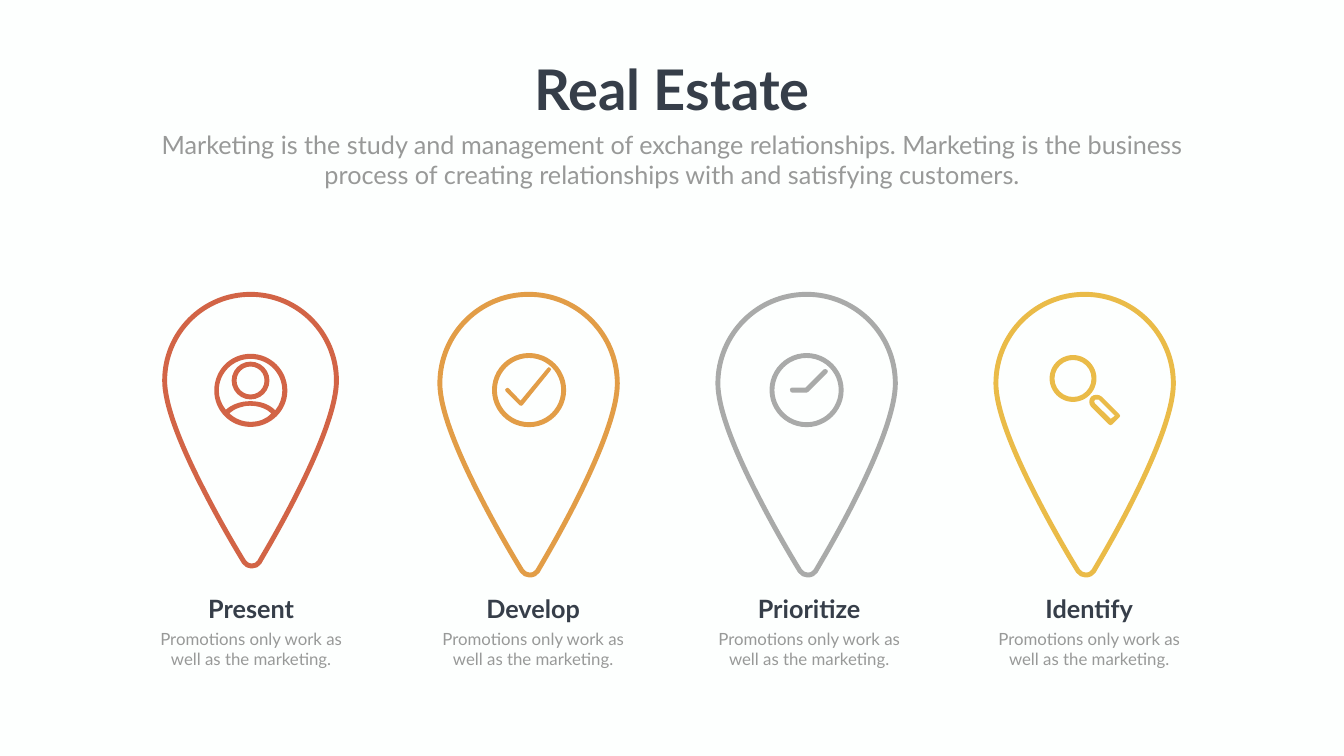
from dataclasses import dataclass

from lxml import etree
from pptx import Presentation
from pptx.dml.color import RGBColor
from pptx.enum.shapes import MSO_SHAPE
from pptx.enum.text import MSO_ANCHOR, PP_ALIGN
from pptx.oxml.ns import qn
from pptx.util import Inches, Pt

CENTER = PP_ALIGN.CENTER
MIDDLE = MSO_ANCHOR.MIDDLE
TOP = MSO_ANCHOR.TOP
DONUT = MSO_SHAPE.DONUT


@dataclass(frozen=True)
class Theme:
    font: str = "Lato"
    background: str = "FDFFFE"
    dark: str = "363E49"
    muted: str = "989998"
    title_size: int = 80
    heading_size: int = 36
    body_size: int = 24
    stroke: int = 7


THEME = Theme()

# Content
TITLE = "Real Estate"
SUBTITLE = ("Marketing is the study and management of exchange relationships. "
            "Marketing is the business process of creating relationships with "
            "and satisfying customers.")
BODY = "Promotions only work as well as the marketing."

# Outlines: a start point, then lines (x, y) or curves (two handles and an end),
# in inches from the pin's centre line and the top of the pins.
PIN = [(0.02, 5.57), (-0.04, 5.57, -0.09, 5.54, -0.13, 5.49),
       (-0.13, 5.49, -0.54, 4.83, -0.94, 4.05),
       (-1.49, 2.99, -1.76, 2.22, -1.76, 1.77),
       (-1.76, 0.79, -0.97, 0, 0, 0),
       (0.97, 0, 1.76, 0.79, 1.76, 1.77),
       (1.76, 2.22, 1.5, 2.99, 0.97, 4.05),
       (0.58, 4.83, 0.18, 5.48, 0.18, 5.49),
       (0.15, 5.54, 0.09, 5.57, 0.02, 5.57)]
PERSON_DISC = [(0, 1.18), (0.4, 1.18, 0.73, 1.5, 0.73, 1.91),
               (0.73, 2.31, 0.4, 2.63, 0, 2.63),
               (-0.4, 2.63, -0.72, 2.31, -0.72, 1.91),
               (-0.72, 1.5, -0.4, 1.18, 0, 1.18)]
PERSON_SHOULDERS = [(-0.42, 2.36), (-0.32, 2.27, -0.16, 2.21, -0.01, 2.21),
                    (0.16, 2.21, 0.32, 2.27, 0.41, 2.36),
                    (0.31, 2.48, 0.16, 2.53, 0, 2.53),
                    (-0.15, 2.53, -0.31, 2.47, -0.42, 2.36)]
PERSON_BACKDROP = [(0.49, 2.3), (0.35, 2.16, 0.17, 2.12, -0.01, 2.12),
                   (-0.19, 2.12, -0.37, 2.18, -0.49, 2.29),
                   (-0.58, 2.18, -0.63, 2.04, -0.63, 1.91),
                   (-0.63, 1.56, -0.35, 1.28, 0, 1.28),
                   (0.35, 1.28, 0.63, 1.56, 0.63, 1.91),
                   (0.63, 2.05, 0.58, 2.19, 0.49, 2.3)]
CHECK = [(0.43, 1.52), (-0.12, 2.2), (-0.13, 2.21, -0.16, 2.22, -0.18, 2.2),
         (-0.45, 1.93), (-0.47, 1.91, -0.47, 1.88, -0.45, 1.87),
         (-0.43, 1.85, -0.41, 1.85, -0.39, 1.87), (-0.16, 2.11), (0.37, 1.47),
         (0.38, 1.44, 0.42, 1.44, 0.43, 1.46), (0.45, 1.47, 0.45, 1.5, 0.43, 1.52)]
CLOCK_HANDS = [(0.41, 1.56), (0.04, 1.93), (0.03, 1.94, 0.01, 1.95, 0, 1.95),
               (-0.29, 1.95), (-0.31, 1.95, -0.33, 1.93, -0.33, 1.89),
               (-0.33, 1.87, -0.31, 1.85, -0.29, 1.85), (-0.02, 1.85), (0.34, 1.49),
               (0.36, 1.48, 0.39, 1.48, 0.41, 1.5), (0.43, 1.51, 0.42, 1.54, 0.41, 1.56)]
HANDLE = [(0.48, 2.58), (0.13, 2.23), (0.08, 2.18, 0.08, 2.08, 0.13, 2.03),
          (0.19, 1.98, 0.28, 1.98, 0.34, 2.03), (0.69, 2.38),
          (0.71, 2.4, 0.71, 2.43, 0.69, 2.44), (0.55, 2.58),
          (0.53, 2.6, 0.5, 2.6, 0.48, 2.58)]
HANDLE_HOLE = [(0.28, 2.09), (0.6, 2.41), (0.52, 2.47), (0.21, 2.17),
               (0.18, 2.14, 0.18, 2.1, 0.21, 2.09), (0.23, 2.08, 0.26, 2.08, 0.28, 2.09)]

# Each ring is (centre x, centre y, diameter)
STEPS = [
    {"name": "Present", "color": "D26446", "scale": 0.968, "text_shift": 0.01,
     "icon": [PERSON_DISC, PERSON_SHOULDERS, PERSON_BACKDROP], "ring": (0, 1.71, 0.75)},
    {"name": "Develop", "color": "E29D47", "scale": 1, "text_shift": 0.09,
     "icon": [CHECK], "ring": (0.01, 1.9, 1.47)},
    {"name": "Prioritize", "color": "A9AAA9", "scale": 1, "text_shift": 0.05,
     "icon": [CLOCK_HANDS], "ring": (0, 1.9, 1.47)},
    {"name": "Identify", "color": "EABB48", "scale": 1, "text_shift": 0.09,
     "icon": [HANDLE, HANDLE_HOLE], "ring": (-0.23, 1.67, 0.93)},
]

# Grid, in inches
WIDTH, HEIGHT = 26.66, 15
FIRST_CENTER, PITCH = 4.97, 5.515
PIN_TOP = 5.84
HEADING_TOP, BODY_TOP = 11.72, 12.43


def color(code):
    return RGBColor.from_string(code)


def add_outlines(page, outlines, center, scale=1):
    """Build one freeform from closed outlines, then bend its curved parts."""
    builder = None
    for outline in outlines:
        points = [(Inches(center + part[i] * scale), Inches(PIN_TOP + part[i + 1] * scale))
                  for part in outline for i in range(0, len(part), 2)]
        if builder is None:
            builder = page.shapes.build_freeform(*points[0])
        else:
            builder.move_to(*points[0])
        builder.add_line_segments(points[1:], close=True)
    shape = builder.convert_to_shape()
    shape.shadow.inherit = False

    segments = iter(list(shape._element.iter(qn("a:lnTo"))))
    for part in (part for outline in outlines for part in outline[1:]):
        first = next(segments)
        if len(part) == 6:
            first.tag = qn("a:cubicBezTo")
            for _ in range(2):
                extra = next(segments)
                first.append(extra[0])
                extra.getparent().remove(extra)
    return shape


def fill_shape(shape, fill_color):
    shape.fill.solid()
    shape.fill.fore_color.rgb = color(fill_color)
    shape.line.fill.background()


def add_pin(page, center, step):
    pin = add_outlines(page, [PIN], center, step["scale"])
    pin.fill.background()
    pin.line.color.rgb = color(step["color"])
    pin.line.width = Pt(THEME.stroke)
    etree.SubElement(pin.line._get_or_add_ln(), qn("a:round"))


def add_ring(page, center, step):
    x, y, size = step["ring"]
    ring = page.shapes.add_shape(DONUT, Inches(center + x - size / 2),
                                 Inches(PIN_TOP + y - size / 2),
                                 Inches(size), Inches(size))
    ring.adjustments[0] = THEME.stroke / 72 / size
    ring.shadow.inherit = False
    fill_shape(ring, step["color"])


def write_text(box, text, size, text_color, bold=False, wrap=True, anchor=TOP):
    frame = box.text_frame
    frame.text = text
    frame.word_wrap = wrap
    frame.vertical_anchor = anchor
    paragraph = frame.paragraphs[0]
    paragraph.alignment = CENTER
    font = paragraph.runs[0].font
    font.name, font.size, font.bold = THEME.font, Pt(size), bold
    font.color.rgb = color(text_color)


def add_text(page, center, top, width, height, text, size, text_color, bold=False):
    box = page.shapes.add_textbox(Inches(center - width / 2), Inches(top),
                                  Inches(width), Inches(height))
    write_text(box, text, size, text_color, bold)


def main():
    deck = Presentation()
    deck.slide_width, deck.slide_height = Inches(WIDTH), Inches(HEIGHT)
    page = deck.slides.add_slide(deck.slide_layouts.get_by_name("Title Only"))
    page.background.fill.solid()
    page.background.fill.fore_color.rgb = color(THEME.background)

    # Title and subtitle
    title = page.shapes.title
    title.left, title.top = Inches(WIDTH / 2 - 2.91), Inches(1.03)
    title.width, title.height = Inches(5.82), Inches(1.45)
    write_text(title, TITLE, THEME.title_size, THEME.dark, True, False, MIDDLE)
    add_text(page, WIDTH / 2, 2.52, 20.82, 1.31, SUBTITLE, THEME.heading_size, THEME.muted)

    # Pins with icons and captions
    for column, step in enumerate(STEPS):
        center = FIRST_CENTER + column * PITCH
        add_pin(page, center, step)
        fill_shape(add_outlines(page, step["icon"], center), step["color"])
        add_ring(page, center, step)
        text_center = center + step["text_shift"]
        add_text(page, text_center, HEADING_TOP, 2.61, 0.71, step["name"],
                 THEME.heading_size, THEME.dark, True)
        add_text(page, text_center, BODY_TOP, 4.02, 0.91, BODY, THEME.body_size, THEME.muted)

    deck.save("out.pptx")


if __name__ == "__main__":
    main()
